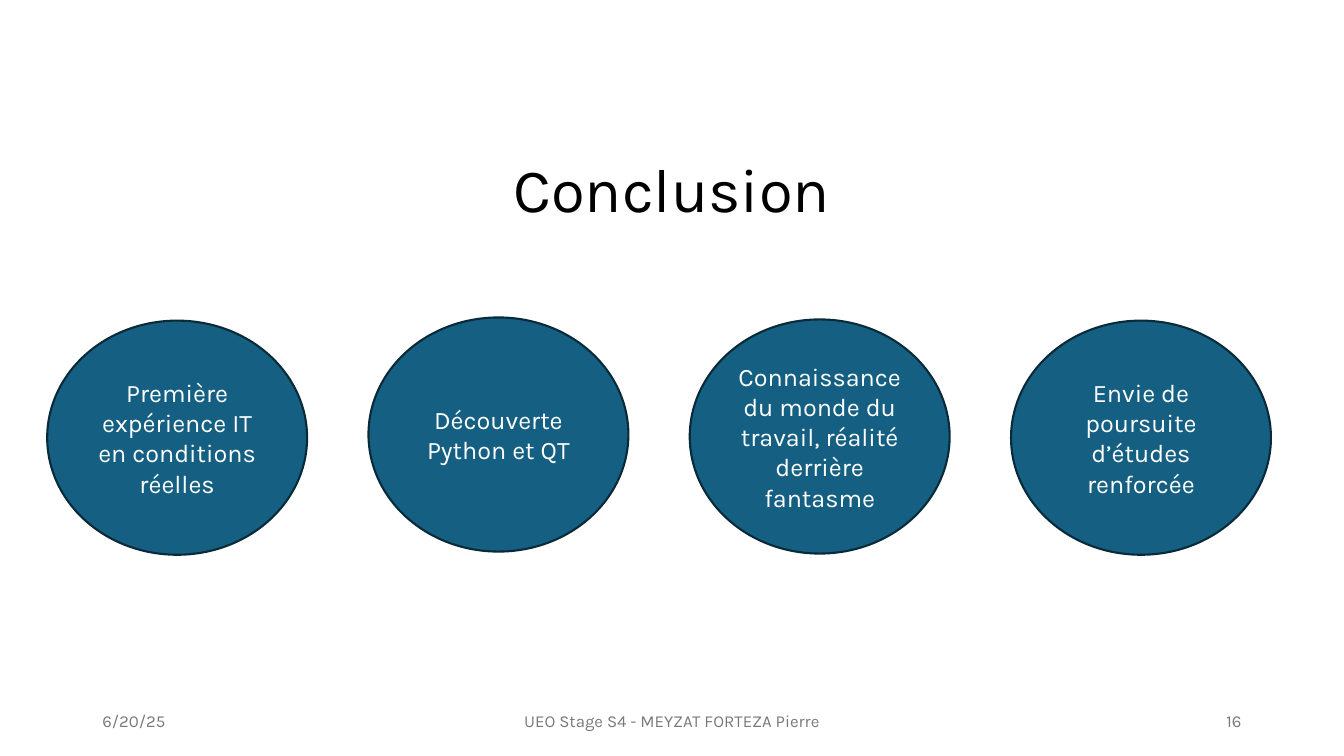
from pptx import Presentation
from pptx.dml.color import RGBColor
from pptx.enum.shapes import MSO_SHAPE
from pptx.enum.text import MSO_ANCHOR, PP_ALIGN
from pptx.util import Cm, Pt

COLORS = {
    "title": "000000",
    "footer": "797979",
    "circle": "156082",
    "outline": "092A39",
    "circle_text": "FFFFFF",
}
FONT = "Karla"

# Text and vertical offset (cm) of each circle, from left to right
TAKEAWAYS = [
    ("Première expérience IT en conditions réelles", 0.08),
    ("Découverte Python et QT", 0),
    ("Connaissance du monde du travail, réalité derrière fantasme", 0.05),
    ("Envie de poursuite d’études renforcée", 0.08),
]


def color(name):
    return RGBColor.from_string(COLORS[name])


def write_text(shape, text, size, color_name, alignment):
    """Put one centred-height, wrapped paragraph in the shape."""
    frame = shape.text_frame
    frame.word_wrap = True
    frame.vertical_anchor = MSO_ANCHOR.MIDDLE
    paragraph = frame.paragraphs[0]
    paragraph.alignment = alignment
    run = paragraph.add_run()
    run.text = text
    run.font.name = FONT
    run.font.size = Pt(size)
    run.font.color.rgb = color(color_name)
    return paragraph


def add_title(slide, left, top, width, height):
    title = slide.shapes.title
    title.left, title.top = Cm(left), Cm(top)
    title.width, title.height = Cm(width), Cm(height)
    paragraph = write_text(title, "Conclusion", 44, "title", PP_ALIGN.CENTER)
    paragraph.line_spacing = 0.9


def add_circles(slide, left, top, width, height):
    """Spread the takeaways evenly over the box."""
    circle_width = 6.55
    pitch = (width - circle_width) / (len(TAKEAWAYS) - 1)
    for index, (text, offset) in enumerate(TAKEAWAYS):
        circle = slide.shapes.add_shape(
            MSO_SHAPE.OVAL, Cm(left + index * pitch), Cm(top + offset),
            Cm(circle_width), Cm(height))
        circle.shadow.inherit = False
        circle.fill.solid()
        circle.fill.fore_color.rgb = color("circle")
        circle.line.color.rgb = color("outline")
        circle.line.width = Pt(1.5)
        write_text(circle, text, 18, "circle_text", PP_ALIGN.CENTER)


def add_footer(slide, left, top, width, height):
    """Place date, caption and slide number at the left, centre and right."""
    side, middle = 7.62, 11.43
    parts = [
        ("6/20/25", 0, side, PP_ALIGN.LEFT),
        ("UEO Stage S4 - MEYZAT FORTEZA Pierre", (width - middle) / 2, middle,
         PP_ALIGN.CENTER),
        ("16", width - side, side, PP_ALIGN.RIGHT),
    ]
    for text, offset, part_width, alignment in parts:
        box = slide.shapes.add_textbox(
            Cm(left + offset), Cm(top), Cm(part_width), Cm(height))
        write_text(box, text, 12, "footer", alignment)


def main():
    presentation = Presentation()
    presentation.slide_width, presentation.slide_height = Cm(33.87), Cm(19.05)
    slide = presentation.slides.add_slide(presentation.slide_layouts[5])
    add_title(slide, 2.33, 3.02, 29.21, 3.68)
    add_circles(slide, 1.19, 8, 30.84, 5.9)
    add_footer(slide, 2.33, 17.65, 29.21, 1.02)
    presentation.save("out.pptx")


if __name__ == "__main__":
    main()
